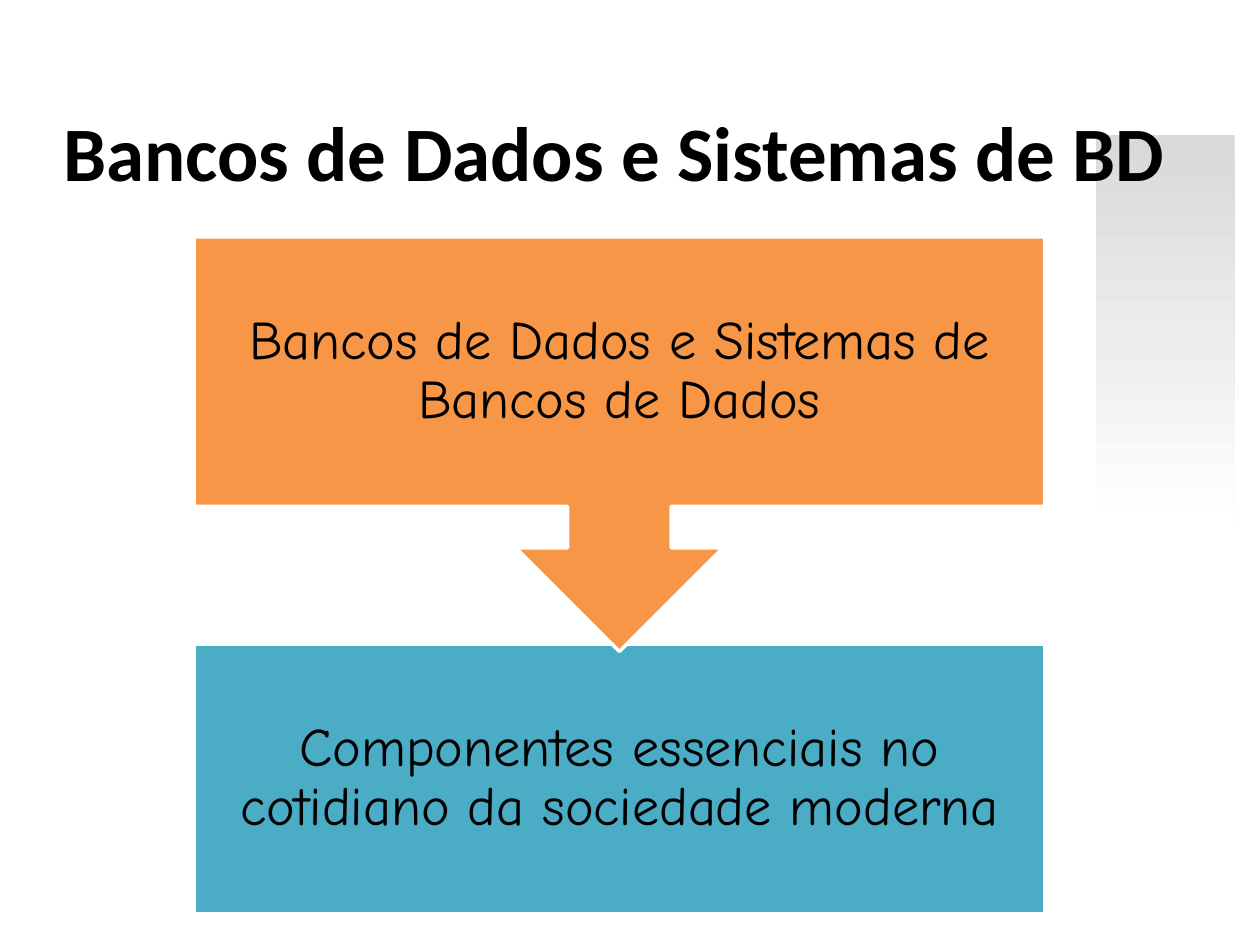
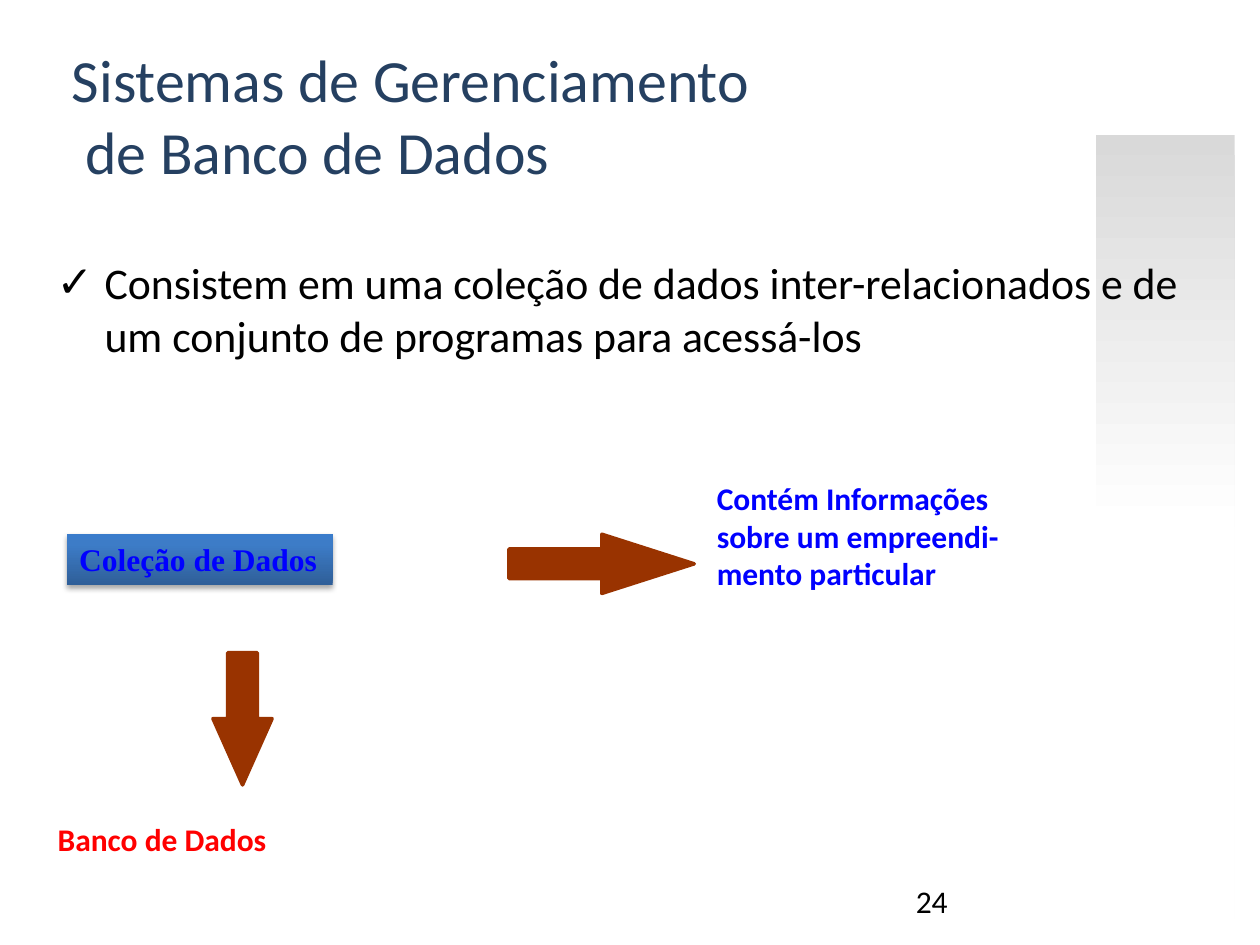
from dataclasses import dataclass

from lxml.etree import SubElement
from pptx import Presentation
from pptx.dml.color import RGBColor
from pptx.enum.shapes import MSO_SHAPE as Kind
from pptx.enum.text import MSO_ANCHOR as Anchor, MSO_AUTO_SIZE as Fit, PP_ALIGN as Align
from pptx.oxml.ns import qn
from pptx.util import Emu, Inches, Pt

CELL = Inches(0.1)  # the slide is a grid of 100 columns by 75 rows


@dataclass(frozen=True)
class Theme:
    sans: str = "Calibri"
    hand: str = "Comic Neue"
    serif: str = "Times New Roman"
    black: str = "000000"
    white: str = "FFFFFF"
    navy: str = "254061"
    orange: str = "F79646"
    teal: str = "4BACC6"
    rust: str = "993300"
    blue: str = "0000FF"
    red: str = "FF0000"
    fade: tuple = ((0, "D9D9D9"), (50, "FFFFFF"), (100, "FFFFFF"))
    gloss: tuple = ((0, "2F5F99"), (80, "3D7CC7"), (100, "3A7CCB"))
    head: float = 44
    title: float = 34.2
    stage: float = 31
    body: float = 25
    label: float = 18
    edge: float = 2


T = Theme()


@dataclass(frozen=True)
class Box:
    """An area in grid cells."""
    x: float
    y: float
    w: float
    h: float

    def at(self, col, row, w, h):
        return Box(self.x + col, self.y + row, w, h)

    def emu(self):
        return [Emu(round(n * CELL)) for n in (self.x, self.y, self.w, self.h)]


PAGE = Box(0, 0, 100, 75)


# Text

def add_run(para, text, size, color, font=T.sans, bold=False):
    run = para.add_run()
    run.text = text
    run.font.size, run.font.name, run.font.bold = Pt(size), font, bold
    run.font.color.rgb = RGBColor.from_string(color)


def set_frame(frame, pad=(0.1, 0.05), anchor=Anchor.TOP, wrap=True, fit=Fit.NONE):
    frame.margin_left = frame.margin_right = Inches(pad[0])
    frame.margin_top = frame.margin_bottom = Inches(pad[1])
    frame.vertical_anchor, frame.word_wrap, frame.auto_size = anchor, wrap, fit


def write(frame, lines, size, color, font=T.sans, bold=False, align=Align.LEFT):
    for i, line in enumerate(lines):
        para = frame.add_paragraph() if i else frame.paragraphs[0]
        para.alignment = align
        add_run(para, line, size, color, font, bold)


def add_label(slide, box, lines, color, wrap=True, bold=True, align=Align.LEFT):
    frame = slide.shapes.add_textbox(*box.emu()).text_frame
    set_frame(frame, wrap=wrap, fit=Fit.SHAPE_TO_FIT_TEXT)
    write(frame, lines, T.label, color, bold=bold, align=align)


def set_title(slide, box, lines, size, color, align, bold=False, pad=(0.1, 0.05)):
    title = slide.shapes.title
    title.left, title.top, title.width, title.height = box.emu()
    set_frame(title.text_frame, pad)
    para = title.text_frame.paragraphs[0]
    para.alignment = align
    for i, line in enumerate(lines):
        if i:
            para.add_line_break()
        add_run(para, line, size, color, bold=bold)


# Shapes

def add_form(slide, kind, box, fill=None, line=None):
    form = slide.shapes.add_shape(kind, *box.emu())
    form.shadow.inherit = False
    if fill:
        form.fill.solid()
        form.fill.fore_color.rgb = RGBColor.from_string(fill)
    if line:
        form.line.color.rgb = RGBColor.from_string(line)
        form.line.width = Pt(T.edge)
    else:
        form.line.fill.background()
    return form


def set_fade(form, stops, angle):
    form.fill.gradient()
    form.fill.gradient_angle = 360 - angle
    group = form.element.find(".//" + qn("a:gsLst"))
    group.clear()
    for share, color in stops:
        stop = SubElement(group, qn("a:gs"), pos=str(share * 1000))
        SubElement(stop, qn("a:srgbClr"), val=color)


def set_shade(form, color, alpha, blur, dist):
    effect = form.element.spPr.find(qn("a:effectLst"))
    shade = SubElement(effect, qn("a:outerShdw"), blurRad=str(Pt(blur)),
                       dist=str(Pt(dist)), dir="5400000", rotWithShape="0")
    tint = SubElement(shade, qn("a:srgbClr"), val=color)
    SubElement(tint, qn("a:alpha"), val=str(alpha * 1000))


def add_band(deck, slide):
    """Put the grey side band on the master, behind every slide."""
    band = add_form(slide, Kind.RECTANGLE, PAGE.at(87, 10.7, 11, 62.2))
    set_fade(band, T.fade, 90)
    deck.slide_master.shapes.element.insert(2, band.element)


# Slide 1: two stages, the upper one pointing to the lower

def add_stage(slide, box, text):
    frame = slide.shapes.add_textbox(*box.emu()).text_frame
    set_frame(frame, (0.24, 0.24), Anchor.MIDDLE)
    write(frame, [text], T.stage, T.black, T.hand, align=Align.CENTER)
    frame.paragraphs[0].line_spacing = 0.9


def add_flow(slide, box):
    high = 21.4
    top = box.at(0, 0, box.w, high)
    low = box.at(0, box.h - high, box.w, high)
    add_form(slide, Kind.RECTANGLE, low, T.teal, T.white)
    add_stage(slide, low, "Componentes essenciais no cotidiano da sociedade moderna")
    call = add_form(slide, Kind.UP_ARROW_CALLOUT, box.at(0, 0, box.w, 32.9),
                    T.orange, T.white)
    call.rotation = 180
    add_stage(slide, top, "Bancos de Dados e Sistemas de Bancos de Dados")


def fill_flow(slide):
    set_title(slide, PAGE.at(3.8, 7.8, 90, 12.5), ["Bancos de Dados e Sistemas de BD"],
              T.head, T.black, Align.CENTER, bold=True)
    add_flow(slide, PAGE.at(15.4, 18.8, 67.5, 53.7))


# Slide 2: a definition and a small diagram

def set_list(slide, box, text):
    body = slide.placeholders[1]
    body.left, body.top, body.width, body.height = box.emu()
    set_frame(body.text_frame)
    write(body.text_frame, [text], T.body, T.black)
    props = body.text_frame.paragraphs[0]._p.get_or_add_pPr()
    dent = Inches(0.38)
    props.set("marL", str(dent))
    props.set("indent", str(-dent))
    SubElement(props, qn("a:buChar"), char="✓")


def add_arrow(slide, kind, box, head):
    arrow = add_form(slide, kind, box, T.rust, T.rust)
    arrow.adjustments[0], arrow.adjustments[1] = 0.5, head


def add_scheme(slide, box):
    # Source of the diagram
    data = add_form(slide, Kind.RECTANGLE, box.at(1.8, 4.9, 21.1, 4))
    set_fade(data, T.gloss, 270)
    set_shade(data, T.black, 35, 3.1, 1.8)
    set_frame(data.text_frame, wrap=False, fit=Fit.SHAPE_TO_FIT_TEXT)
    write(data.text_frame, ["Coleção de Dados"], T.label, T.blue, T.serif, True)
    # Arrows to what it holds and what it is
    add_arrow(slide, Kind.RIGHT_ARROW, box.at(36.9, 4.9, 14.7, 4.7), 1.56)
    add_label(slide, box.at(52.4, 0, 44.1, 10.1),
              ["Contém Informações", "sobre um empreendi-", "mento particular"],
              T.blue, align=Align.JUSTIFY)
    add_arrow(slide, Kind.DOWN_ARROW, box.at(13.4, 14.3, 4.7, 10.5), 1.12)
    add_label(slide, box.at(0.1, 27.1, 18.7, 4), ["Banco de Dados"], T.red, wrap=False)


def fill_scheme(slide):
    set_title(slide, PAGE.at(5, 3, 95, 12.5),
              ["Sistemas de Gerenciamento", " de Banco de Dados"],
              T.title, T.navy, Align.LEFT, pad=(0.07, 0.04))
    set_list(slide, PAGE.at(3.5, 19.8, 91.9, 14.9),
             "Consistem em uma coleção de dados inter-relacionados e de "
             "um conjunto de programas para acessá-los")
    add_scheme(slide, PAGE.at(3.5, 37.5, 96.5, 31.1))
    add_label(slide, PAGE.at(71.7, 69.5, 23.3, 4), ["24"], T.black, bold=False)


def main():
    deck = Presentation()
    deck.slide_width, deck.slide_height = PAGE.emu()[2:]
    flow = deck.slides.add_slide(deck.slide_layouts[5])
    add_band(deck, flow)
    fill_flow(flow)
    fill_scheme(deck.slides.add_slide(deck.slide_layouts[1]))
    deck.save("out.pptx")


if __name__ == "__main__":
    main()
